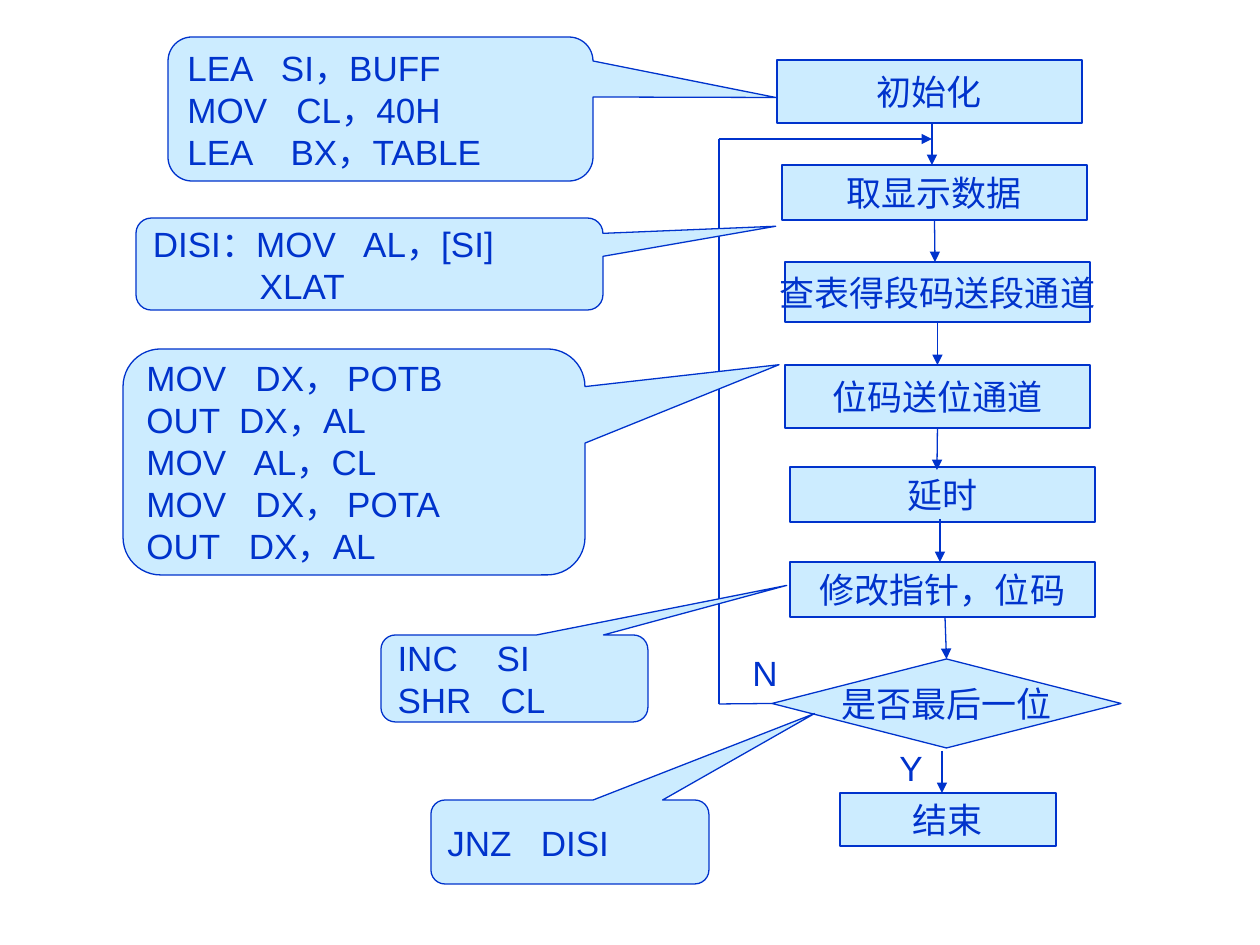
"""Build a flowchart slide of a display routine with assembly code callouts."""
from lxml import etree
from pptx import Presentation
from pptx import util as u
from pptx.dml.color import RGBColor
from pptx.enum import shapes, text
from pptx.oxml.ns import qn

PX = 914400 / 126
COLORS = {"ink": "0033CC", "panel": "CCECFF"}
INK = RGBColor.from_string(COLORS["ink"])
PANEL = RGBColor.from_string(COLORS["panel"])
FONT = {"size": u.Pt(20), "name": "Arial"}
PROCESS = shapes.MSO_SHAPE.FLOWCHART_PROCESS
DECISION = shapes.MSO_SHAPE.FLOWCHART_DECISION
CALLOUT = shapes.MSO_SHAPE.ROUNDED_RECTANGULAR_CALLOUT

presentation = Presentation()
presentation.slide_width = round(1260 * PX)
presentation.slide_height = round(945 * PX)
slide = presentation.slides.add_slide(presentation.slide_layouts[6])


def write(shape, lines, alignment, frame_format):
    frame = shape.text_frame
    for name, value in frame_format.items():
        setattr(frame, name, value)
    frame.text = "\n".join(lines)
    for paragraph in frame.paragraphs:
        paragraph.alignment = alignment
        for name, value in FONT.items():
            setattr(paragraph.font, name, value)
        paragraph.font.color.rgb = INK


def add_panel(kind, box, lines, alignment):
    shape = slide.shapes.add_shape(kind, *(round(length * PX) for length in box))
    shape.shadow.inherit = False
    shape.fill.solid()
    shape.fill.fore_color.rgb = PANEL
    shape.line.color.rgb = INK
    shape.line.width = u.Pt(0.75)
    write(shape, lines, alignment,
          {"word_wrap": False, "vertical_anchor": text.MSO_ANCHOR.MIDDLE})
    return shape


steps = [
    (PROCESS, (777, 60, 305, 63), "初始化"),
    (PROCESS, (782, 165, 305, 55), "取显示数据"),
    (PROCESS, (785, 262, 305, 60), "查表得段码送段通道"),
    (PROCESS, (785, 365, 305, 63), "位码送位通道"),
    (PROCESS, (790, 467, 305, 55), "延时"),
    (PROCESS, (790, 562, 305, 55), "修改指针，位码"),
    (DECISION, (772, 659, 349, 89), "是否最后一位"),
    (PROCESS, (840, 793, 216, 53), "结束"),
]
nodes = [add_panel(kind, box, [label], text.PP_ALIGN.CENTER) for kind, box, label in steps]
init, fetch, lookup, digit, delay, update, decision, end = nodes

links = [
    ((932, 123), (932, 165), True, None, None),
    ((935, 220), (935, 262), True, (fetch, 2), None),
    ((937, 322), (937, 365), True, (lookup, 2), (digit, 0)),
    ((937, 428), (937, 470), True, (digit, 2), None),
    ((940, 519), (940, 562), True, None, None),
    ((945, 617), (945, 659), True, None, (decision, 0)),
    ((942, 751), (942, 793), True, None, None),
    ((772, 704), (719, 704), False, (decision, 1), None),
    ((719, 704), (719, 139), False, None, None),
    ((719, 139), (932, 139), True, None, None),
]
for start, finish, arrow, source, target in links:
    connector = slide.shapes.add_connector(
        shapes.MSO_CONNECTOR.STRAIGHT, *(round(length * PX) for length in start + finish))
    if source:
        connector.begin_connect(*source)
    if target:
        connector.end_connect(*target)
    connector.line.color.rgb = INK
    connector.line.width = u.Pt(0.75)
    properties = connector._element.spPr
    if arrow:
        etree.SubElement(properties.find(qn("a:ln")), qn("a:tailEnd"), type="triangle")
    etree.SubElement(properties, qn("a:effectLst"))

for label, left, top in [("N", 740, 645), ("Y", 887, 740)]:
    branch = slide.shapes.add_textbox(*(round(length * PX) for length in (left, top, 68, 55)))
    write(branch, [label], text.PP_ALIGN.LEFT,
          {"word_wrap": True, "auto_size": text.MSO_AUTO_SIZE.SHAPE_TO_FIT_TEXT})

callouts = [
    ((168, 37, 425, 144), (0.93, -0.08),
     ["LEA   SI，BUFF", "MOV   CL，40H", "LEA    BX，TABLE"]),
    ((136, 218, 467, 92), (0.87, -0.41),
     ["DISI：MOV   AL，[SI]", "           XLAT"]),
    ((123, 349, 462, 226), (0.92, -0.43),
     ["MOV   DX， POTB", "OUT  DX，AL", "MOV   AL，CL", "MOV   DX， POTA", "OUT   DX，AL"]),
    ((381, 635, 267, 87), (1.02, -1.07), ["INC    SI", "SHR   CL"]),
    ((431, 800, 278, 84), (0.88, -1.53), ["JNZ   DISI"]),
]
for box, pointer, code in callouts:
    callout = add_panel(CALLOUT, box, code, text.PP_ALIGN.LEFT)
    callout.adjustments[0], callout.adjustments[1] = pointer

presentation.save("out.pptx")
